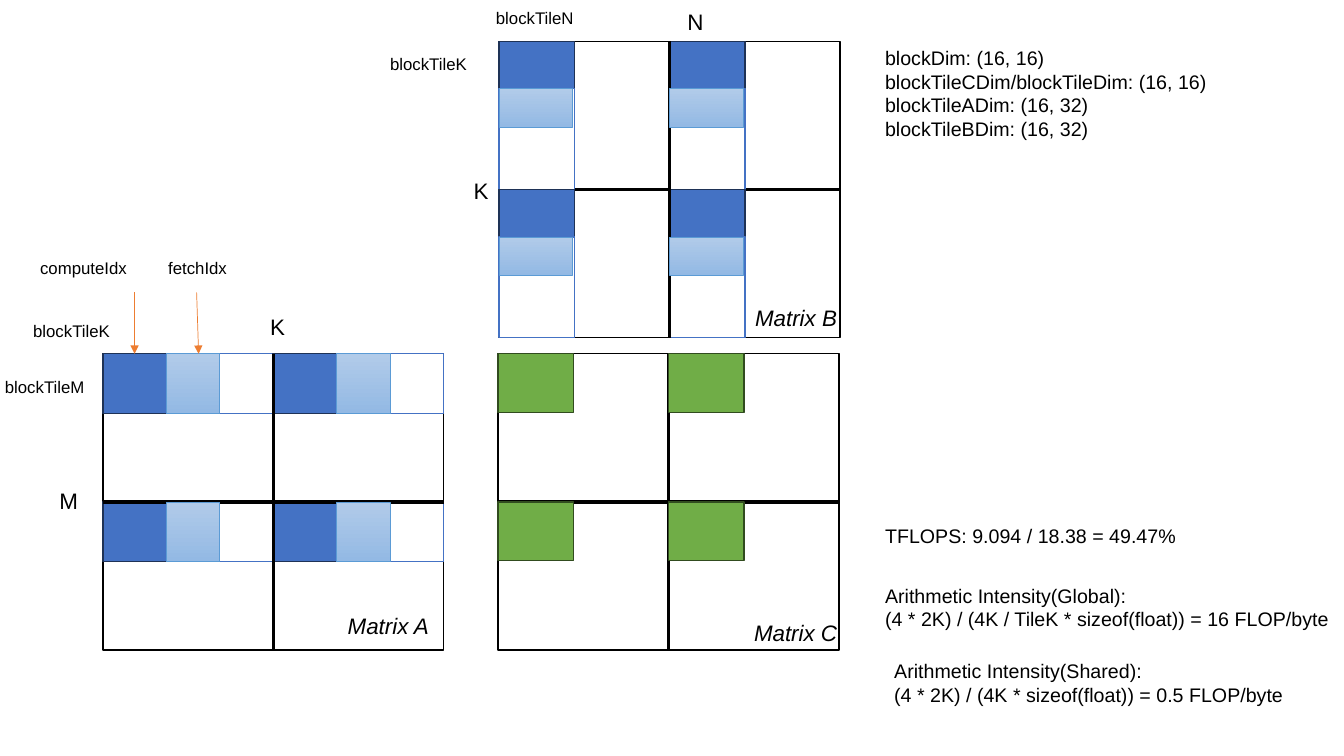
from itertools import product

from lxml.etree import SubElement
from pptx import Presentation
from pptx.dml.color import RGBColor
from pptx.enum.shapes import MSO_CONNECTOR, MSO_SHAPE
from pptx.oxml.ns import qn
from pptx.util import Inches, Pt

BLACK = RGBColor(0x00, 0x00, 0x00)
WHITE = RGBColor(0xFF, 0xFF, 0xFF)
BLUE = RGBColor(0x44, 0x72, 0xC4)
NAVY = RGBColor(0x1E, 0x32, 0x56)
GREEN = RGBColor(0x70, 0xAD, 0x47)
DARK_GREEN = RGBColor(0x31, 0x4C, 0x1F)
FETCH_TOP = RGBColor(0xB1, 0xCB, 0xE9)
FETCH_BOTTOM = RGBColor(0x93, 0xB9, 0xE4)
FETCH_LINE = RGBColor(0x5B, 0x9B, 0xD5)
ORANGE = RGBColor(0xED, 0x7D, 0x31)

MATRIX_WIDTH, MATRIX_HEIGHT = 3.38, 2.94
TOP, LEFT, BOTTOM, RIGHT = range(4)


def add_rect(slide, left, top, width, height, fill=WHITE, line=BLACK, weight=1):
    """Draw a rectangle; a pair of fill colours makes a vertical gradient."""
    rect = slide.shapes.add_shape(MSO_SHAPE.RECTANGLE, Inches(left), Inches(top),
                                  Inches(width), Inches(height))
    rect.shadow.inherit = False
    if isinstance(fill, RGBColor):
        rect.fill.solid()
        rect.fill.fore_color.rgb = fill
    else:
        rect.fill.gradient()
        rect.fill.gradient_angle = 270
        for stop, color in zip(rect.fill.gradient_stops, fill):
            stop.color.rgb = color
    rect.line.color.rgb = line
    rect.line.width = Pt(weight)
    return rect


def add_line(slide, start=(0, 0), end=(0, 0), color=BLACK, weight=2.25):
    line = slide.shapes.add_connector(MSO_CONNECTOR.STRAIGHT,
                                      *map(Inches, (*start, *end)))
    line.line.color.rgb = color
    line.line.width = Pt(weight)
    SubElement(line._element.spPr, qn("a:effectLst"))
    return line


def add_arrow(slide, start, end):
    arrow = add_line(slide, start, end, ORANGE, 0.5)
    SubElement(arrow.line._get_or_add_ln(), qn("a:tailEnd"), type="triangle")
    return arrow


def add_label(slide, left, top, width, text, size=12, italic=False):
    lines = text.split("\n")
    box = slide.shapes.add_textbox(Inches(left), Inches(top), Inches(width),
                                   Inches(0.1 + len(lines) * size / 60))
    frame = box.text_frame
    frame.word_wrap = True
    for index, line in enumerate(lines):
        para = frame.add_paragraph() if index else frame.paragraphs[0]
        span = para.add_run()
        span.text = line
        span.font.name = "Arial"
        span.font.size = Pt(size)
        span.font.italic = italic
        span.font.color.rgb = BLACK


def add_matrix_frame(slide, left, top):
    return add_rect(slide, left, top, MATRIX_WIDTH, MATRIX_HEIGHT)


def add_divider(slide, frame, first_side, last_side):
    """Halve a matrix frame with a line between two opposite sides."""
    line = add_line(slide)
    line.begin_connect(frame, first_side)
    line.end_connect(frame, last_side)


def quarters(left, top):
    """Give the top left corner of each quarter of a matrix, row by row."""
    return [(left + column * MATRIX_WIDTH / 2, top + row * MATRIX_HEIGHT / 2)
            for row, column in product(range(2), repeat=2)]


def add_fetch_tile(slide, left, top, width, height):
    add_rect(slide, left, top, width, height, (FETCH_TOP, FETCH_BOTTOM),
             FETCH_LINE, 0.5)


def draw_matrix_a(slide, left, top):
    compute, strip, fetch, tile_height = 0.63, 1.06, 0.53, 0.59
    frame = add_matrix_frame(slide, left, top)
    corners = quarters(left, top)
    tiles = []
    for x, y in corners:
        tiles.append(add_rect(slide, x, y, compute, tile_height, BLUE, NAVY))
        add_rect(slide, x + compute, y, strip, tile_height, WHITE, BLUE)
    add_divider(slide, frame, LEFT, RIGHT)
    add_divider(slide, frame, TOP, BOTTOM)
    for x, y in corners:
        add_fetch_tile(slide, x + compute, y, fetch, tile_height)

    compute_arrow = add_arrow(slide, (left + compute / 2, top - 0.61),
                              (left + compute / 2, top))
    compute_arrow.end_connect(tiles[0], TOP)
    add_arrow(slide, (left + 0.93, top - 0.61), (left + 0.95, top))
    add_label(slide, left - 0.72, top - 1, 1.23, "computeIdx")
    add_label(slide, left + 0.55, top - 1, 1.23, "fetchIdx")
    add_label(slide, left - 0.79, top - 0.38, 1.25, "blockTileK")
    add_label(slide, left - 1.07, top + 0.18, 1.19, "blockTileM")
    add_label(slide, left + 1.56, top - 0.45, 0.32, "K", size=16)
    add_label(slide, left - 0.53, top + 1.27, 0.43, "M", size=16)
    add_label(slide, left + 2.33, top + 2.51, 1.69, "Matrix A", size=16, italic=True)


def draw_matrix_b(slide, left, top):
    compute, strip, fetch, tile_width = 0.47, 1, 0.38, 0.75
    frame = add_matrix_frame(slide, left, top)
    corners = quarters(left, top)
    add_divider(slide, frame, LEFT, RIGHT)
    for x, y in corners:
        add_rect(slide, x, y, tile_width, compute, BLUE, NAVY)
        add_rect(slide, x, y + compute, tile_width, strip, WHITE, BLUE)
    add_divider(slide, frame, TOP, BOTTOM)
    for x, y in corners:
        add_fetch_tile(slide, x, y + compute, tile_width - 0.02, fetch)

    add_label(slide, left - 0.13, top - 0.38, 1.35, "blockTileN")
    add_label(slide, left - 1.18, top + 0.07, 1.25, "blockTileK")
    add_label(slide, left + 1.77, top - 0.38, 0.43, "N", size=16)
    add_label(slide, left - 0.35, top + 1.3, 0.32, "K", size=16)
    add_label(slide, left + 2.44, top + 2.56, 1.69, "Matrix B", size=16, italic=True)


def draw_matrix_c(slide, left, top):
    frame = add_matrix_frame(slide, left, top)
    add_divider(slide, frame, TOP, BOTTOM)
    add_divider(slide, frame, LEFT, RIGHT)
    for x, y in quarters(left, top):
        add_rect(slide, x, y, 0.75, 0.58, GREEN, DARK_GREEN)
    add_label(slide, left + 2.44, top + 2.58, 1.69, "Matrix C", size=16, italic=True)


def draw_notes(slide, left, top):
    add_label(slide, left, top, 3.73,
              "blockDim: (16, 16)\nblockTileCDim/blockTileDim: (16, 16)\n"
              "blockTileADim: (16, 32)\nblockTileBDim: (16, 32)", size=14)
    add_label(slide, left, top + 4.74, 3.73, "TFLOPS: 9.094 / 18.38 = 49.47%", size=14)
    add_label(slide, left, top + 5.33, 4.65,
              "Arithmetic Intensity(Global):\n"
              "(4 * 2K) / (4K / TileK * sizeof(float)) = 16 FLOP/byte", size=14)
    add_label(slide, left + 0.09, top + 6.08, 4.65,
              "Arithmetic Intensity(Shared):\n"
              "(4 * 2K) / (4K * sizeof(float)) = 0.5 FLOP/byte", size=14)


def main():
    deck = Presentation()
    deck.slide_width, deck.slide_height = Inches(13.33), Inches(7.5)
    page = deck.slides.add_slide(deck.slide_layouts[6])
    draw_matrix_b(page, 4.95, 0.41)
    draw_matrix_c(page, 4.94, 3.51)
    draw_matrix_a(page, 1.02, 3.51)
    draw_notes(page, 8.68, 0.41)
    deck.save("out.pptx")


if __name__ == "__main__":
    main()
